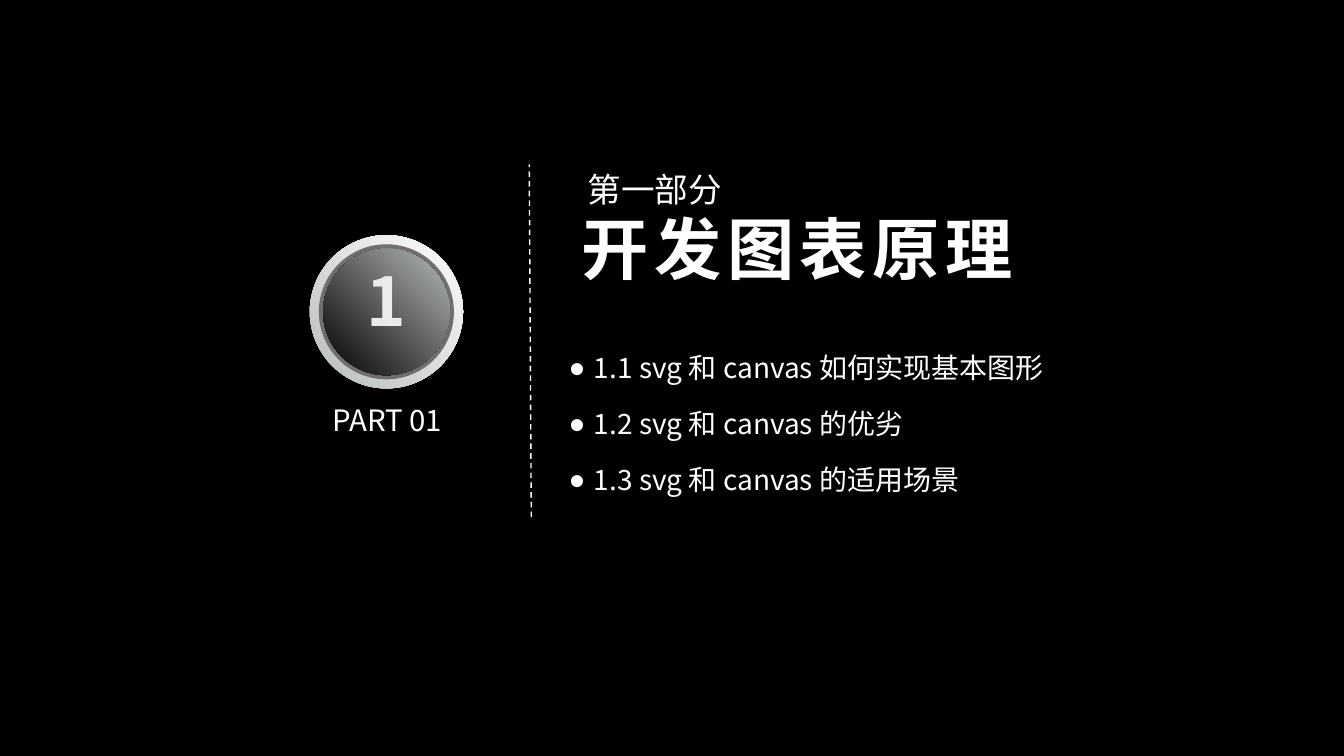
from dataclasses import dataclass

import lxml.etree
import pptx
import pptx.dml.color
import pptx.enum.dml
import pptx.enum.shapes
import pptx.enum.text
import pptx.oxml.ns
import pptx.util

FONT = "Noto Sans CJK SC"
SLIDE_WIDTH = pptx.util.Inches(13.33)
SLIDE_HEIGHT = pptx.util.Inches(7.5)
BADGE_CENTER = (28.75, 41.25)
TOPIC_TOP, TOPIC_PITCH = 46.93, 7.4


@dataclass(frozen=True)
class Box:
    left: float
    top: float
    width: float
    height: float


@dataclass(frozen=True)
class Line:
    text: str
    size: int
    color: str = "FFFFFF"
    bold: bool = False
    centered: bool = False
    bulleted: bool = False
    indent: float = 0
    gap_after: int = 0
    tracking: int = 0


@dataclass(frozen=True)
class Disc:
    diameter: float
    colors: tuple[str, ...]


def across(percent: float) -> int:
    return round(SLIDE_WIDTH * percent / 100)


def down(percent: float) -> int:
    return round(SLIDE_HEIGHT * percent / 100)


def rgb(value: str) -> pptx.dml.color.RGBColor:
    return pptx.dml.color.RGBColor.from_string(value)


def add_child(parent, tag: str, **attributes: str) -> None:
    child = lxml.etree.SubElement(parent, pptx.oxml.ns.qn(tag))
    for key, value in attributes.items():
        child.set(key, value)


def format_line(paragraph, line: Line) -> None:
    paragraph.text = line.text
    paragraph.line_spacing = 0.9
    paragraph.space_after = pptx.util.Pt(line.gap_after)
    alignment = pptx.enum.text.PP_ALIGN
    paragraph.alignment = alignment.CENTER if line.centered else alignment.LEFT
    properties = paragraph._p.get_or_add_pPr()
    properties.set("marL", str(pptx.util.Inches(line.indent)))
    if line.bulleted:
        properties.set("indent", str(-pptx.util.Inches(line.indent)))
        add_child(properties, "a:buFont", typeface="Arial")
        add_child(properties, "a:buChar", char="●")
    for run in paragraph.runs:
        run.font.size = pptx.util.Pt(line.size)
        run.font.bold = line.bold
        run.font.color.rgb = rgb(line.color)
        run.font.name = FONT
        run_properties = run._r.get_or_add_rPr()
        add_child(run_properties, "a:ea", typeface=FONT)
        if line.tracking:
            run_properties.set("spc", str(line.tracking * 100))


def add_text(slide, box: Box, lines: list[Line], inset_x: float = 0,
             inset_y: float = 0, wrap: bool = True) -> None:
    frame = slide.shapes.add_textbox(
        across(box.left), down(box.top), across(box.width), down(box.height)
    ).text_frame
    frame.word_wrap = wrap
    frame.margin_left = frame.margin_right = pptx.util.Inches(inset_x)
    frame.margin_top = frame.margin_bottom = pptx.util.Inches(inset_y)
    frame.text = "\n".join(line.text for line in lines)
    for paragraph, line in zip(frame.paragraphs, lines):
        format_line(paragraph, line)


def add_disc(slide, disc: Disc) -> None:
    diameter = down(disc.diameter)
    center_x, center_y = across(BADGE_CENTER[0]), down(BADGE_CENTER[1])
    circle = slide.shapes.add_shape(
        pptx.enum.shapes.MSO_SHAPE.OVAL,
        center_x - diameter // 2, center_y - diameter // 2, diameter, diameter)
    circle.shadow.inherit = False
    circle.line.fill.background()
    if len(disc.colors) == 1:
        circle.fill.solid()
        circle.fill.fore_color.rgb = rgb(disc.colors[0])
        return
    circle.fill.gradient()
    circle.fill.gradient_angle = 45
    for position, (stop, color) in enumerate(
            zip(circle.fill.gradient_stops, disc.colors)):
        stop.position = position
        stop.color.rgb = rgb(color)


def add_divider(slide) -> None:
    divider = slide.shapes.add_connector(
        pptx.enum.shapes.MSO_CONNECTOR.STRAIGHT,
        across(39.53), down(68.4), across(39.38), down(21.73))
    divider.line.color.rgb = rgb("FFFFFF")
    divider.line.width = pptx.util.Pt(1)
    divider.line.dash_style = pptx.enum.dml.MSO_LINE.DASH
    add_child(divider._element.spPr, "a:effectLst")


def main() -> None:
    deck = pptx.Presentation()
    deck.slide_width, deck.slide_height = SLIDE_WIDTH, SLIDE_HEIGHT
    slide = deck.slides.add_slide(deck.slide_layouts[6])
    slide.background.fill.solid()
    slide.background.fill.fore_color.rgb = rgb("000000")

    add_text(slide, Box(23.86, 53.73, 9.9, 4.8),
             [Line("PART 01", 21, centered=True)])
    for disc in (Disc(20.27, ("B8BBBC", "FFFFFF")),
                 Disc(17.87, ("6F6F6F",)),
                 Disc(16.75, ("000000", "B8BBBC"))):
        add_disc(slide, disc)
    add_text(slide, Box(24.08, 35.47, 9.38, 12.53),
             [Line("1", 48, color="EBEBEB", bold=True, centered=True)])
    add_divider(slide)

    add_text(slide, Box(42.31, 22, 34.81, 19.73),
             [Line("第一部分", 24, indent=0.06, gap_after=5),
              Line("开发图表原理", 48, bold=True, tracking=4)],
             inset_x=0.13, inset_y=0.07, wrap=False)
    topics = ("1.1 svg 和 canvas 如何实现基本图形",
              "1.2 svg 和 canvas 的优劣",
              "1.3 svg 和 canvas 的适用场景")
    for row, topic in enumerate(topics):
        add_text(slide, Box(42.31, TOPIC_TOP + row * TOPIC_PITCH, 53.64, 4.53),
                 [Line(topic, 20, bulleted=True, indent=0.25)])

    deck.save("out.pptx")


if __name__ == "__main__":
    main()
